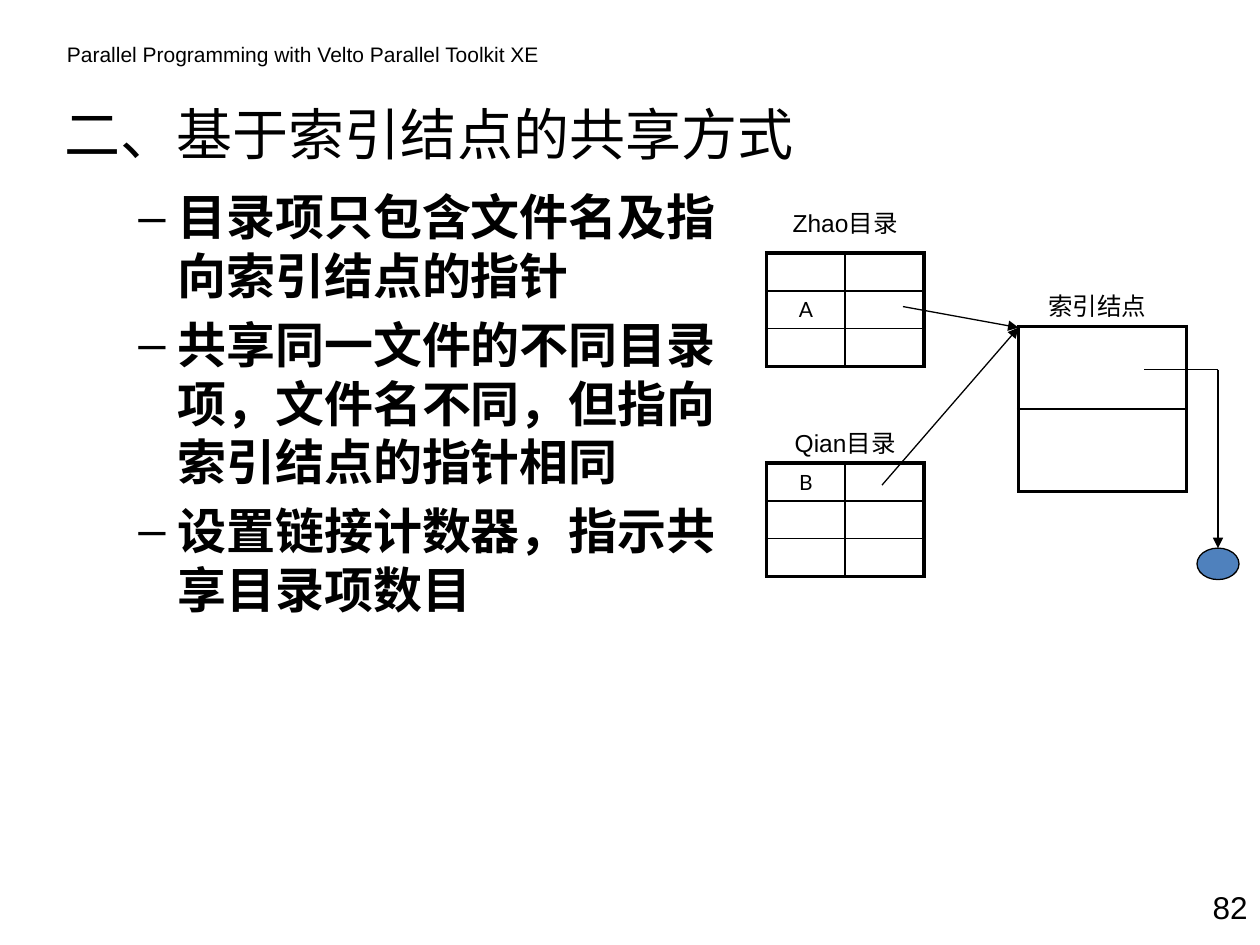
from typing import NamedTuple

from lxml.etree import SubElement
from pptx import Presentation
from pptx.dml.color import RGBColor
from pptx.enum.shapes import MSO_CONNECTOR, MSO_SHAPE
from pptx.enum.text import MSO_ANCHOR, PP_ALIGN
from pptx.oxml.ns import qn
from pptx.util import Emu, Inches, Pt

COLORS = {"ink": "000000", "node": "4F81BD"}
CJK_FONT = "Noto Sans CJK SC"
COLUMNS = 120
SLIDE_WIDTH, SLIDE_HEIGHT = Inches(10), Inches(7.5)
UNIT = SLIDE_WIDTH / COLUMNS
THICK, THIN, ARROW = 2.25, 1, 0.75


class Area(NamedTuple):
    column: float
    row: float
    width: float
    height: float


class Label(NamedTuple):
    text: str
    area: Area
    size: float
    font: str = "Arial"
    align: PP_ALIGN = PP_ALIGN.CENTER
    anchor: MSO_ANCHOR = MSO_ANCHOR.TOP


class Grid(NamedTuple):
    area: Area
    rows: list[list[str]]


class Line(NamedTuple):
    start: tuple[float, float]
    end: tuple[float, float]
    arrow: bool = True


LABELS = [
    Label("Parallel Programming with Velto Parallel Toolkit XE", Area(5.2, 3.4, 49.2, 3.6), 12,
          align=PP_ALIGN.LEFT),
    Label("二、基于索引结点的共享方式", Area(5, 8.2, 105, 9), 32, CJK_FONT,
          PP_ALIGN.LEFT, MSO_ANCHOR.MIDDLE),
    Label("82", Area(112, 84, 8, 6), 18, align=PP_ALIGN.RIGHT),
    Label("Zhao目录", Area(74, 19.2, 13, 4), 14),
    Label("Qian目录", Area(74, 40.2, 13, 4), 14),
    Label("索引结点", Area(97, 27.1, 15, 4), 14),
]
POINTS = [
    "目录项只包含文件名及指向索引结点的指针",
    "共享同一文件的不同目录项，文件名不同，但指向索引结点的指针相同",
    "设置链接计数器，指示共享目录项数目",
]
BODY_AREA = Area(6, 17.2, 66, 55)
GRIDS = [
    Grid(Area(73, 24.1, 15, 10.8), [["", ""], ["A", ""], ["", ""]]),
    Grid(Area(73, 44.1, 15, 10.8), [["B", ""], ["", ""], ["", ""]]),
    Grid(Area(97, 31.1, 16, 15.7), [[""], [""]]),
]
LINES = [
    Line((86, 29.2), (97, 31.2)),
    Line((84, 46.2), (97, 31.2)),
    Line((109, 35.2), (116, 35.2), arrow=False),
    Line((116, 35.2), (116, 52.2)),
]
FILE_AREA = Area(114, 52.2, 4, 3)


def units(*values: float) -> list[Emu]:
    return [Emu(round(value * UNIT)) for value in values]


def color(name: str) -> RGBColor:
    return RGBColor.from_string(COLORS[name])


def style_paragraph(para, size: float, font: str, bold: bool = False) -> None:
    para.font.size = Pt(size)
    para.font.name = font
    para.font.bold = bold
    para.font.color.rgb = color("ink")
    properties = para._p.pPr.find(qn("a:defRPr"))
    SubElement(properties, qn("a:ea"), typeface=CJK_FONT)


def add_label(page, label: Label) -> None:
    frame = page.shapes.add_textbox(*units(*label.area)).text_frame
    frame.word_wrap = True
    frame.vertical_anchor = label.anchor
    para = frame.paragraphs[0]
    para.text = label.text
    para.alignment = label.align
    style_paragraph(para, label.size, label.font)


def add_points(page, area: Area, points: list[str]) -> None:
    frame = page.shapes.add_textbox(*units(*area)).text_frame
    frame.word_wrap = True
    for index, point in enumerate(points):
        para = frame.paragraphs[0] if index == 0 else frame.add_paragraph()
        para.text = point
        if index:
            para.space_before = Pt(5.6)
        properties = para._p.get_or_add_pPr()
        properties.set("marL", str(Inches(0.81)))
        properties.set("indent", str(-Inches(0.31)))
        SubElement(properties, qn("a:buFont"), typeface="Arial")
        SubElement(properties, qn("a:buChar"), char="–")
        style_paragraph(para, 28, CJK_FONT, bold=True)


def add_border(cell, side: str, width: float) -> None:
    border = SubElement(cell._tc.get_or_add_tcPr(), qn(f"a:ln{side}"), w=str(Pt(width)))
    fill = SubElement(border, qn("a:solidFill"))
    SubElement(fill, qn("a:srgbClr"), val=COLORS["ink"])


def add_grid(page, grid: Grid) -> None:
    row_count, column_count = len(grid.rows), len(grid.rows[0])
    table = page.shapes.add_table(row_count, column_count, *units(*grid.area)).table
    table.first_row = table.horz_banding = False
    for row, texts in enumerate(grid.rows):
        for column, text in enumerate(texts):
            cell = table.cell(row, column)
            outer = {"L": column == 0, "R": column == column_count - 1,
                     "T": row == 0, "B": row == row_count - 1}
            for side, is_outer in outer.items():
                add_border(cell, side, THICK if is_outer else THIN)
            cell.fill.background()
            cell.margin_top = cell.margin_bottom = 0
            cell.vertical_anchor = MSO_ANCHOR.MIDDLE
            para = cell.text_frame.paragraphs[0]
            para.text = text
            para.alignment = PP_ALIGN.CENTER
            style_paragraph(para, 12, "Lato")


def add_line(page, line: Line) -> None:
    connector = page.shapes.add_connector(MSO_CONNECTOR.STRAIGHT, *units(*line.start, *line.end))
    connector.line.color.rgb = color("ink")
    connector.line.width = Pt(ARROW)
    if line.arrow:
        SubElement(connector.line._get_or_add_ln(), qn("a:tailEnd"), type="triangle")
    SubElement(connector._element.spPr, qn("a:effectLst"))


def add_file(page, area: Area) -> None:
    ellipse = page.shapes.add_shape(MSO_SHAPE.OVAL, *units(*area))
    ellipse.shadow.inherit = False
    ellipse.fill.solid()
    ellipse.fill.fore_color.rgb = color("node")
    ellipse.line.color.rgb = color("ink")
    ellipse.line.width = Pt(ARROW)


def main() -> None:
    deck = Presentation()
    deck.slide_width, deck.slide_height = SLIDE_WIDTH, SLIDE_HEIGHT
    page = deck.slides.add_slide(deck.slide_layouts[6])
    for label in LABELS:
        add_label(page, label)
    add_points(page, BODY_AREA, POINTS)
    for grid in GRIDS:
        add_grid(page, grid)
    for line in LINES:
        add_line(page, line)
    add_file(page, FILE_AREA)
    deck.save("out.pptx")


if __name__ == "__main__":
    main()
